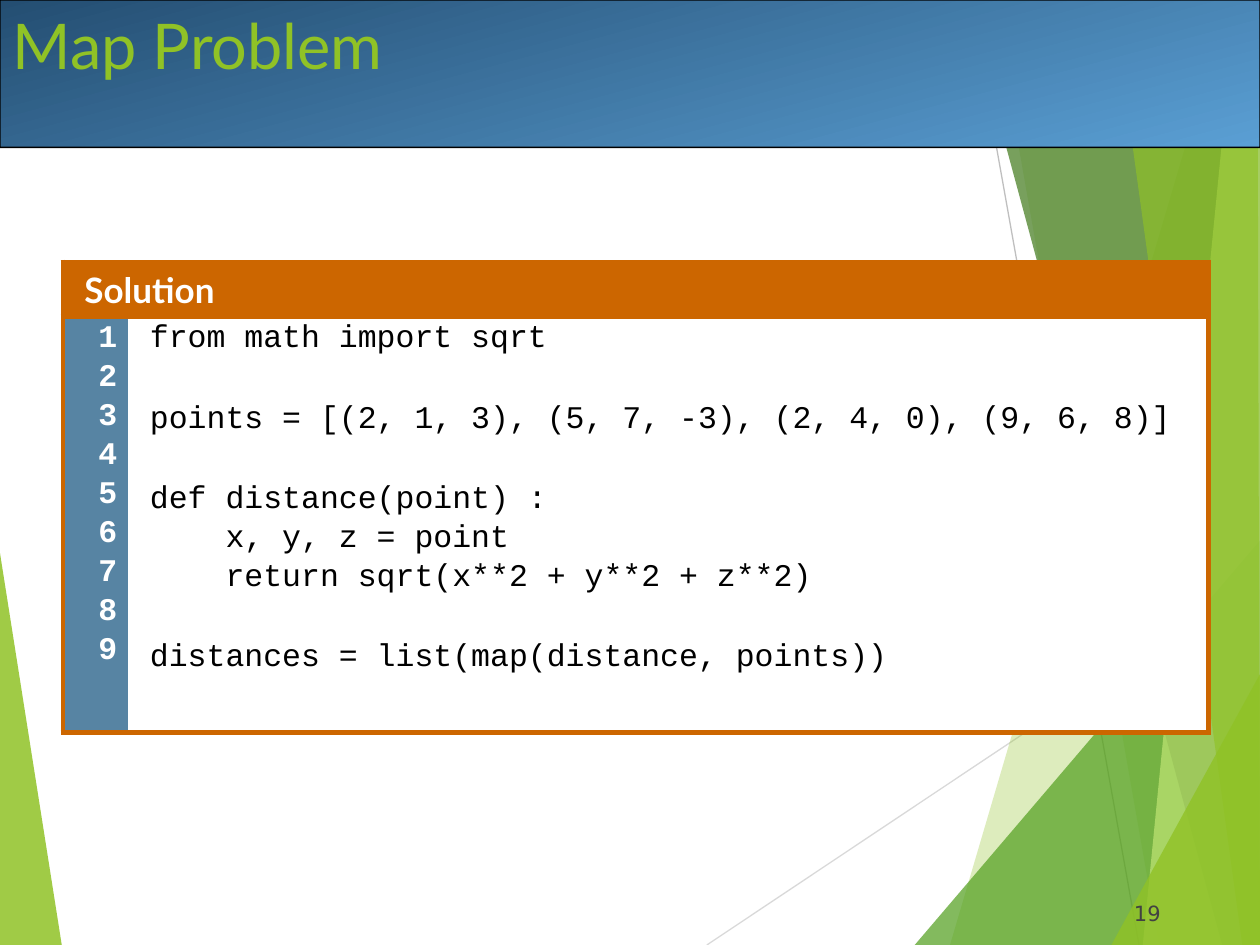
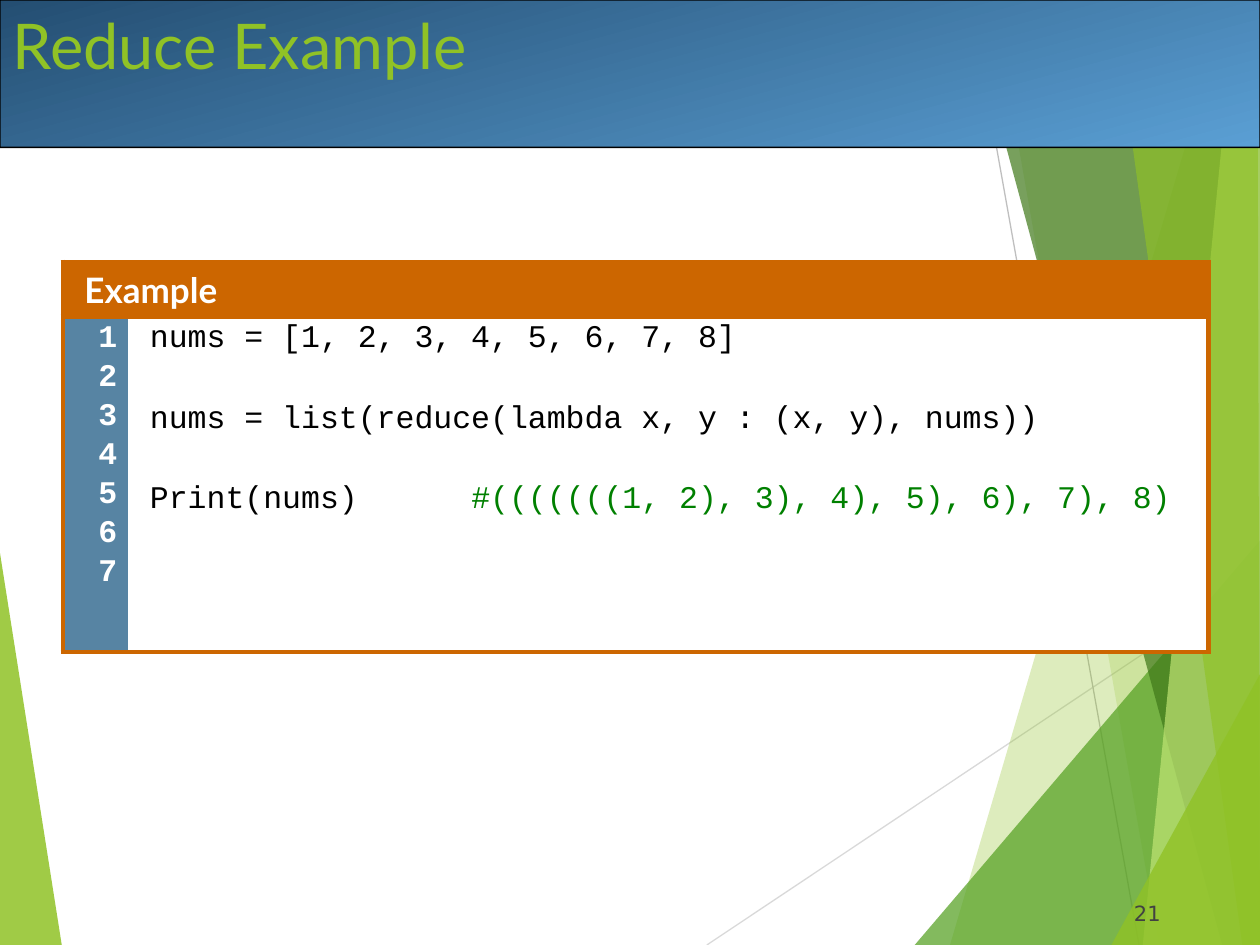
from lxml.etree import SubElement
from pptx import Presentation
from pptx.dml.color import RGBColor
from pptx.enum.shapes import MSO_CONNECTOR, MSO_SHAPE
from pptx.enum.text import MSO_ANCHOR, MSO_AUTO_SIZE, PP_ALIGN
from pptx.oxml.ns import qn
from pptx.util import Inches, Pt

# Content
LISTINGS = [
    {
        "title": "Map Problem",
        "page": 19,
        "heading": "Solution",
        "numbered_lines": 9,
        "body_height": 3.3,
        "code": [
            "from math import sqrt",
            "",
            "points = [(2, 1, 3), (5, 7, -3), (2, 4, 0), (9, 6, 8)]",
            "",
            "def distance(point) :",
            "    x, y, z = point",
            "    return sqrt(x**2 + y**2 + z**2)",
            "",
            "distances = list(map(distance, points))",
        ],
    },
    {
        "title": "Reduce Example",
        "page": 21,
        "heading": "Example",
        "numbered_lines": 7,
        "body_height": 2.66,
        "code": [
            "nums = [1, 2, 3, 4, 5, 6, 7, 8]",
            "",
            "nums = list(reduce(lambda x, y : (x, y), nums))",
            "",
            "Print(nums)      #(((((((1, 2), 3), 4), 5), 6), 7), 8)",
        ],
    },
]

# Colours
LIME = RGBColor(0x90, 0xC2, 0x26)
PALE_LIME = RGBColor(0xC0, 0xE4, 0x74)
GREEN = RGBColor(0x54, 0xA0, 0x21)
DARK_GREEN = RGBColor(0x3F, 0x78, 0x19)
COMMENT_GREEN = RGBColor(0x00, 0x80, 0x00)
BAND_DARK = RGBColor(0x24, 0x4E, 0x72)
BAND_LIGHT = RGBColor(0x5A, 0x9F, 0xD4)
ORANGE = RGBColor(0xCC, 0x66, 0x00)
STEEL = RGBColor(0x57, 0x84, 0xA3)
LIGHT_GREY = RGBColor(0xD9, 0xD9, 0xD9)
MID_GREY = RGBColor(0xBF, 0xBF, 0xBF)
DARK_GREY = RGBColor(0x42, 0x42, 0x42)
BLACK = RGBColor(0, 0, 0)
WHITE = RGBColor(0xFF, 0xFF, 0xFF)

# Layout, in inches
WIDTH, HEIGHT = 10, 7.5
BAND_HEIGHT = 1.17
TITLE_BOX = (0, 0, 9, 1.25)
PAGE_BOX = (9, 6.95, 0.83, 0.4)
TABLE_LEFT, TABLE_TOP = 0.5, 2.08
COLUMN_WIDTHS = (0.52, 8.57)
HEADING_HEIGHT = 0.42
CELL_PAD, TEXT_INDENT = 0.05, 0.12

RAYS = [  # start, end, colour
    ((5.61, HEIGHT), (WIDTH, 4.57), LIGHT_GREY),
    ((7.7, 0), (9.04, HEIGHT), MID_GREY),
]
FACETS = [  # outline, colour, opacity in percent
    ([(0, 4.39), (0.49, HEIGHT), (0, HEIGHT)], LIME, 85),
    ([(9.75, 0), (7.54, HEIGHT), (WIDTH, HEIGHT), (WIDTH, 0)], LIME, 30),
    ([(7.88, 0), (9.2, HEIGHT), (WIDTH, HEIGHT), (WIDTH, 0)], LIME, 20),
    ([(7.26, HEIGHT), (WIDTH, 4.29), (WIDTH, HEIGHT)], GREEN, 72),
    ([(7.67, 0), (9.7, HEIGHT), (WIDTH, HEIGHT), (WIDTH, 0)], DARK_GREEN, 70),
    ([(9.81, 0), (9.07, HEIGHT), (WIDTH, HEIGHT), (WIDTH, 0)], PALE_LIME, 70),
    ([(8.83, 0), (9.86, HEIGHT), (WIDTH, HEIGHT), (9.98, 0)], LIME, 65),
    ([(8.82, HEIGHT), (WIDTH, 5.35), (WIDTH, HEIGHT)], LIME, 80),
]

# Text formats
TITLE_FONT = {"name": "Lato", "size": Pt(36), "color": LIME}
PAGE_FONT = {"name": "DejaVu Sans", "size": Pt(12), "color": DARK_GREY}
HEADING_FONT = {"name": "Lato", "size": Pt(20), "color": WHITE, "bold": True}
CODE_FONT = {"name": "Courier New", "size": Pt(18), "color": BLACK, "bold": False}
COMMENT_FONT = {**CODE_FONT, "color": COMMENT_GREEN}
NUMBER_FONT = {**CODE_FONT, "color": WHITE, "bold": True}


def inches(values):
    return [Inches(value) for value in values]


def add_run(paragraph, text, font_format):
    run = paragraph.add_run()
    run.text = text
    for name, value in font_format.items():
        if name == "color":
            run.font.color.rgb = value
        else:
            setattr(run.font, name, value)


def add_ray(shapes, start, end, color):
    ray = shapes.add_connector(MSO_CONNECTOR.STRAIGHT, *inches(start + end))
    ray.line.color.rgb = color
    ray.line.width = Pt(0.75)
    SubElement(ray._element.spPr, qn("a:effectLst"))
    return ray


def add_facet(shapes, outline, color, opacity):
    start, *others = [inches(point) for point in outline]
    builder = shapes.build_freeform(*start)
    builder.add_line_segments(others, close=True)
    facet = builder.convert_to_shape()
    facet.shadow.inherit = False
    facet.fill.solid()
    facet.fill.fore_color.rgb = color
    facet.line.fill.background()
    fill_color = facet._element.spPr.find(f"{qn('a:solidFill')}/{qn('a:srgbClr')}")
    SubElement(fill_color, qn("a:alpha"), val=str(opacity * 1000))
    return facet


def add_band(shapes):
    band = shapes.add_shape(MSO_SHAPE.ROUNDED_RECTANGLE, *inches((0, 0, WIDTH, BAND_HEIGHT)))
    band.adjustments[0] = 0.001
    band.shadow.inherit = False
    band.fill.gradient()
    band.fill.gradient_angle = 285
    for stop, color in zip(band.fill.gradient_stops, (BAND_DARK, BAND_LIGHT)):
        stop.color.rgb = color
    band.line.color.rgb = BLACK
    band.line.width = Pt(0.75)
    return band


def decorate_layout(layout, slide):
    """Draw the shared background on a slide, then move it to the layout."""
    background = [add_ray(slide.shapes, *ray) for ray in RAYS]
    background += [add_facet(slide.shapes, *facet) for facet in FACETS]
    background.append(add_band(slide.shapes))
    for shape in background:
        layout.shapes._spTree.append(shape._element)


def add_title(slide, text):
    title = slide.shapes.title
    title.left, title.top, title.width, title.height = inches(TITLE_BOX)
    frame = title.text_frame
    frame.vertical_anchor = MSO_ANCHOR.TOP
    frame.auto_size = MSO_AUTO_SIZE.NONE
    frame.paragraphs[0].alignment = PP_ALIGN.LEFT
    add_run(frame.paragraphs[0], text, TITLE_FONT)


def add_page_number(slide, number):
    frame = slide.shapes.add_textbox(*inches(PAGE_BOX)).text_frame
    frame.word_wrap = True
    frame.vertical_anchor = MSO_ANCHOR.BOTTOM
    for side in ("left", "top", "right", "bottom"):
        setattr(frame, f"margin_{side}", 0)
    add_run(frame.paragraphs[0], str(number), PAGE_FONT)


def style_cell(cell, color, bordered_sides, right_pad=CELL_PAD):
    properties = cell._tc.get_or_add_tcPr()
    for side in "LRTB":
        border = SubElement(properties, qn(f"a:ln{side}"), w=str(Pt(3)))
        if side in bordered_sides:
            fill = SubElement(border, qn("a:solidFill"))
            SubElement(fill, qn("a:srgbClr"), val=str(ORANGE))
        else:
            SubElement(border, qn("a:noFill"))
    cell.fill.solid()
    cell.fill.fore_color.rgb = color
    cell.margin_left = cell.margin_top = cell.margin_bottom = Inches(CELL_PAD)
    cell.margin_right = Inches(right_pad)


def fill_lines(cell, lines, font_format, alignment=PP_ALIGN.LEFT, line_spacing=0.87):
    """Write one paragraph per line, with any # comment in its own colour."""
    frame = cell.text_frame
    for index, line in enumerate(lines):
        paragraph = frame.add_paragraph() if index else frame.paragraphs[0]
        paragraph.alignment = alignment
        paragraph.line_spacing = line_spacing
        if index:
            paragraph.space_before = Pt(4.5)
        paragraph._p.get_or_add_pPr().set("marL", str(Inches(TEXT_INDENT)))
        code, mark, comment = line.partition("#")
        if code:
            add_run(paragraph, code, font_format)
        else:
            SubElement(paragraph._p, qn("a:endParaRPr"), sz="1800")
        if mark:
            add_run(paragraph, mark + comment, COMMENT_FONT)


def add_listing(slide, listing):
    row_heights = (HEADING_HEIGHT, listing["body_height"])
    box = (TABLE_LEFT, TABLE_TOP, sum(COLUMN_WIDTHS), sum(row_heights))
    table = slide.shapes.add_table(2, 2, *inches(box)).table
    table.first_row = table.horz_banding = False
    for column, width in zip(table.columns, COLUMN_WIDTHS):
        column.width = Inches(width)
    for row, height in zip(table.rows, row_heights):
        row.height = Inches(height)

    heading, heading_end = table.cell(0, 0), table.cell(0, 1)
    numbers, code = table.cell(1, 0), table.cell(1, 1)
    heading.merge(heading_end)
    style_cell(heading, ORANGE, "LRTB")
    style_cell(heading_end, ORANGE, "RTB")
    style_cell(numbers, STEEL, "LTB", right_pad=0.09)
    style_cell(code, WHITE, "RTB", right_pad=0.18)

    line_numbers = [str(n + 1) for n in range(listing["numbered_lines"])]
    fill_lines(heading, [listing["heading"]], HEADING_FONT, line_spacing=1.0)
    fill_lines(numbers, line_numbers, NUMBER_FONT, PP_ALIGN.RIGHT)
    fill_lines(code, listing["code"], CODE_FONT)


def main():
    presentation = Presentation()
    presentation.slide_width = Inches(WIDTH)
    presentation.slide_height = Inches(HEIGHT)
    layout = presentation.slide_layouts.get_by_name("Title Only")
    slides = [presentation.slides.add_slide(layout) for _ in LISTINGS]
    decorate_layout(layout, slides[0])
    for slide, listing in zip(slides, LISTINGS):
        add_page_number(slide, listing["page"])
        add_title(slide, listing["title"])
        add_listing(slide, listing)
    presentation.save("out.pptx")


if __name__ == "__main__":
    main()
